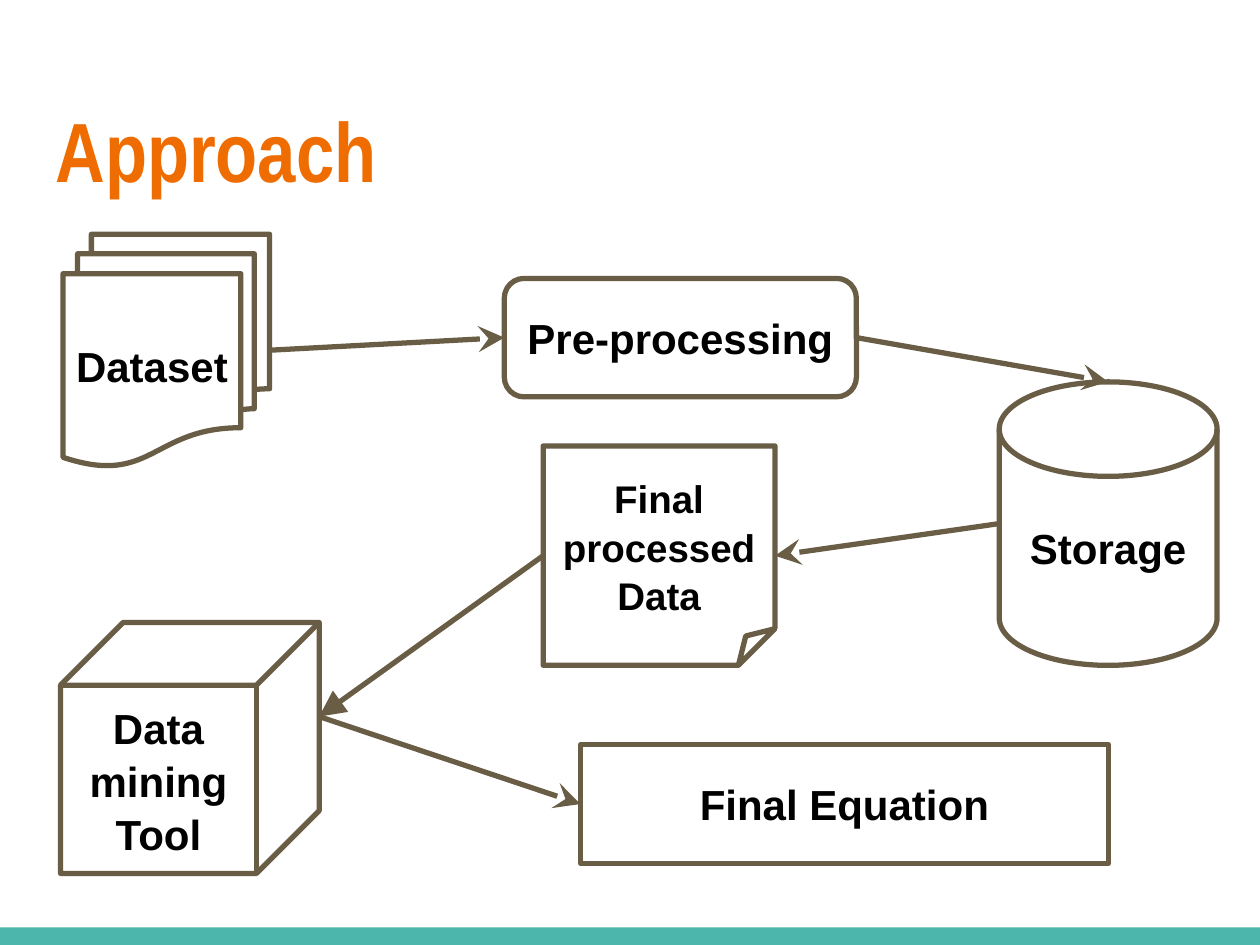
from lxml.etree import SubElement
from pptx import Presentation
from pptx.dml.color import RGBColor
from pptx.enum.shapes import MSO_CONNECTOR, MSO_SHAPE as Preset
from pptx.enum.text import MSO_ANCHOR as Anchor, PP_ALIGN as Align
from pptx.oxml.ns import qn
from pptx.util import Pt

COLORS = {"title": "EF6C00", "line": "695D46", "text": "000000", "bar": "4DB6AC"}
INSET = 7.2
LINE_WIDTH = 3
LEFT, RIGHT, TOP = (0, 0.5), (1, 0.5), (0.5, 0)
CUBE_SIDE = (1, 0.375)

STEPS = {
    "dataset": {"preset": Preset.FLOWCHART_MULTIDOCUMENT, "box": (36, 133.9, 118.1, 132.5),
                "lines": ["Dataset"]},
    "preprocessing": {"preset": Preset.ROUNDED_RECTANGLE, "box": (288.2, 159.1, 201.2, 67.7),
                      "lines": ["Pre-processing"]},
    "storage": {"preset": Preset.FLOWCHART_MAGNETIC_DISK, "box": (571, 218.2, 124.5, 162),
                "lines": ["Storage"]},
    "final_data": {"preset": Preset.FOLDED_CORNER, "box": (310.4, 254.9, 132.5, 125.3),
                   "lines": ["Final", "processed", "Data"], "size": 22, "drop": 9.6},
    "mining_tool": {"preset": Preset.CUBE, "box": (34.6, 355.7, 147.8, 143.4),
                    "lines": ["Data mining", "Tool"]},
    "equation": {"preset": Preset.FLOWCHART_PROCESS, "box": (331.7, 425.6, 301.7, 67.7),
                 "lines": ["Final Equation"]},
}

FLOW = [
    ("dataset", RIGHT, "preprocessing", LEFT, "stealth"),
    ("preprocessing", RIGHT, "storage", TOP, "stealth"),
    ("storage", LEFT, "final_data", RIGHT, "stealth"),
    ("final_data", LEFT, "mining_tool", CUBE_SIDE, "triangle"),
    ("mining_tool", CUBE_SIDE, "equation", LEFT, "stealth"),
]


def rgb(role):
    """Return the colour that a role has in the palette."""
    return RGBColor.from_string(COLORS[role])


def set_values(target, values):
    """Set each named attribute of the target."""
    for name, value in values.items():
        setattr(target, name, value)


def format_frame(frame, anchor, drop=0):
    """Give a text frame its wrapping, anchor and insets."""
    set_values(frame, {
        "word_wrap": True, "vertical_anchor": anchor,
        "margin_left": Pt(INSET), "margin_right": Pt(INSET),
        "margin_top": Pt(INSET + drop), "margin_bottom": Pt(INSET),
    })


def write(paragraph, text, font, size, role, align):
    """Write one bold line of text in a paragraph."""
    paragraph.alignment = align
    run = paragraph.add_run()
    run.text = text
    set_values(run.font, {"name": font, "size": Pt(size), "bold": True})
    run.font.color.rgb = rgb(role)


def add_title(slide, box, text):
    """Place and format the title placeholder."""
    title = slide.shapes.title
    set_values(title, dict(zip(("left", "top", "width", "height"), map(Pt, box))))
    format_frame(title.text_frame, Anchor.BOTTOM)
    write(title.text_frame.paragraphs[0], text, "Arial Narrow", 48, "title", Align.LEFT)


def add_bar(slide, box):
    """Draw the coloured bar along the foot of the slide."""
    bar = slide.shapes.add_shape(Preset.RECTANGLE, *map(Pt, box))
    bar.shadow.inherit = False
    bar.fill.solid()
    bar.fill.fore_color.rgb = rgb("bar")
    bar.line.fill.background()


def add_step(slide, preset, box, lines, size=24, drop=0):
    """Draw one outlined step of the flow with its label."""
    step = slide.shapes.add_shape(preset, *map(Pt, box))
    step.shadow.inherit = False
    step.fill.background()
    step.line.color.rgb = rgb("line")
    step.line.width = Pt(LINE_WIDTH)
    frame = step.text_frame
    format_frame(frame, Anchor.MIDDLE, drop)
    for index, text in enumerate(lines):
        paragraph = frame.add_paragraph() if index else frame.paragraphs[0]
        if len(lines) > 1:
            paragraph.line_spacing = 1.05
        write(paragraph, text, "Arial", size, "text", Align.CENTER)


def point_on(box, site):
    """Return the point at fractions of a box's width and height."""
    left, top, width, height = box
    return Pt(left + width * site[0]), Pt(top + height * site[1])


def add_arrow(slide, start, end, head):
    """Draw a straight arrow between two points."""
    arrow = slide.shapes.add_connector(MSO_CONNECTOR.STRAIGHT, *start, *end)
    arrow.line.color.rgb = rgb("line")
    arrow.line.width = Pt(LINE_WIDTH)
    properties = arrow.line._get_or_add_ln()
    SubElement(properties, qn("a:tailEnd"), type=head, w="lg", len="lg")
    SubElement(properties.getparent(), qn("a:effectLst"))


def add_flow(slide):
    """Draw all steps and the arrows that join them."""
    for step in STEPS.values():
        add_step(slide, **step)
    for source, source_site, target, target_site, head in FLOW:
        add_arrow(slide, point_on(STEPS[source]["box"], source_site),
                  point_on(STEPS[target]["box"], target_site), head)


def main():
    """Build the slide and save it."""
    deck = Presentation()
    set_values(deck, {"slide_width": Pt(720), "slide_height": Pt(540)})
    slide = deck.slides.add_slide(deck.slide_layouts[5])
    add_bar(slide, (0, 529.9, 720, 10.1))
    add_title(slide, (24.5, 46.8, 671, 74.2), "Approach")
    add_flow(slide)
    deck.save("out.pptx")


if __name__ == "__main__":
    main()
